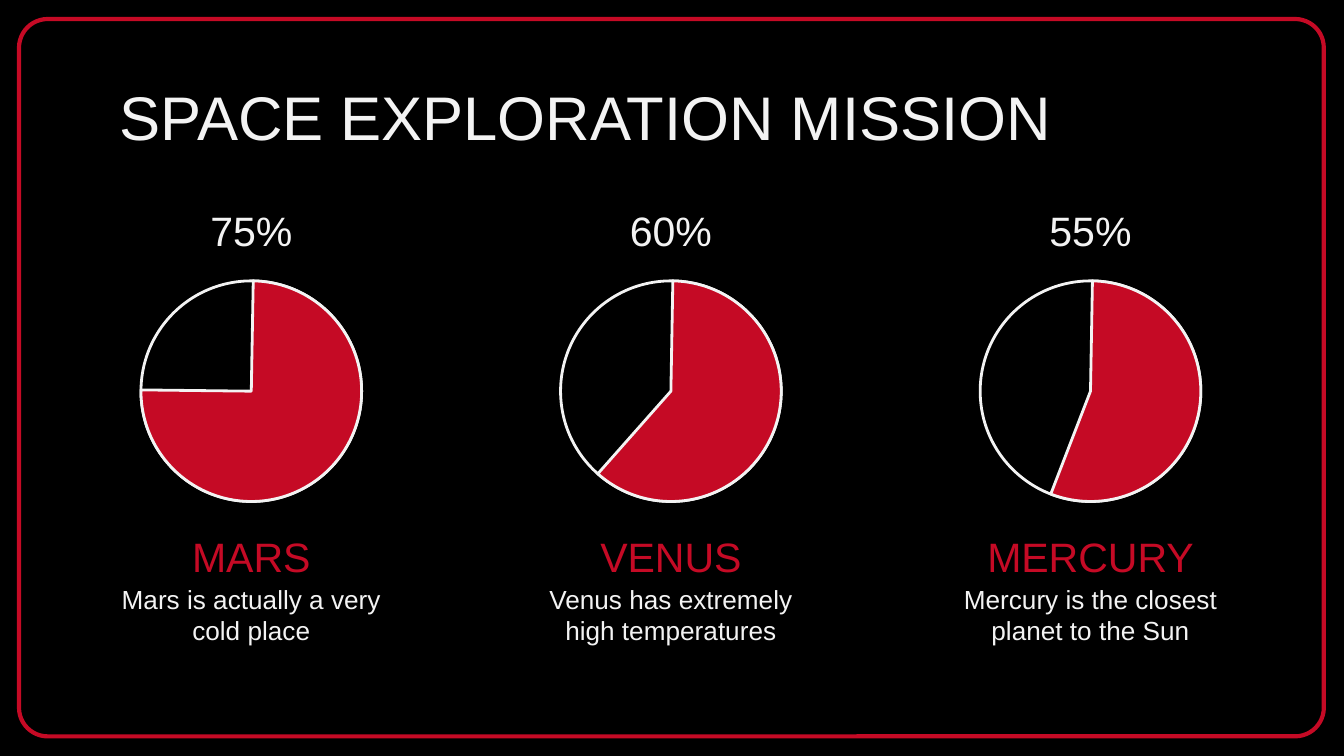
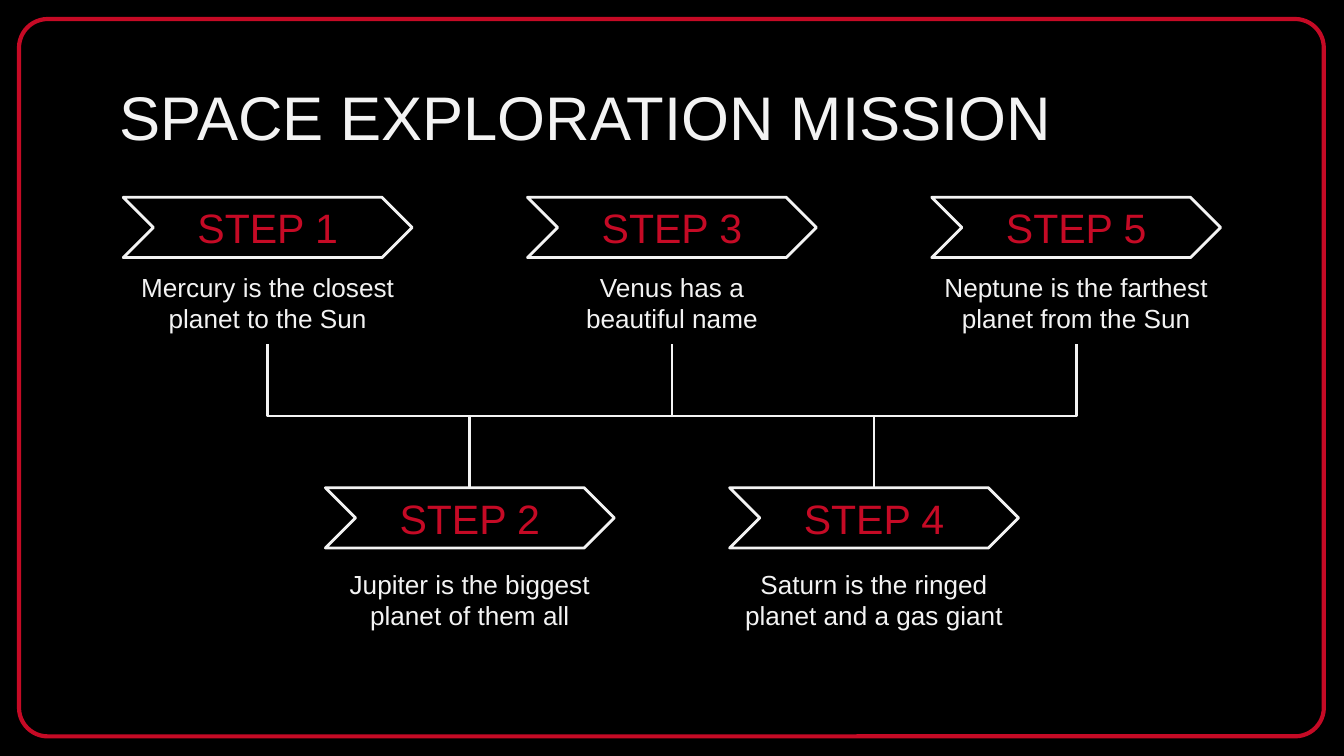
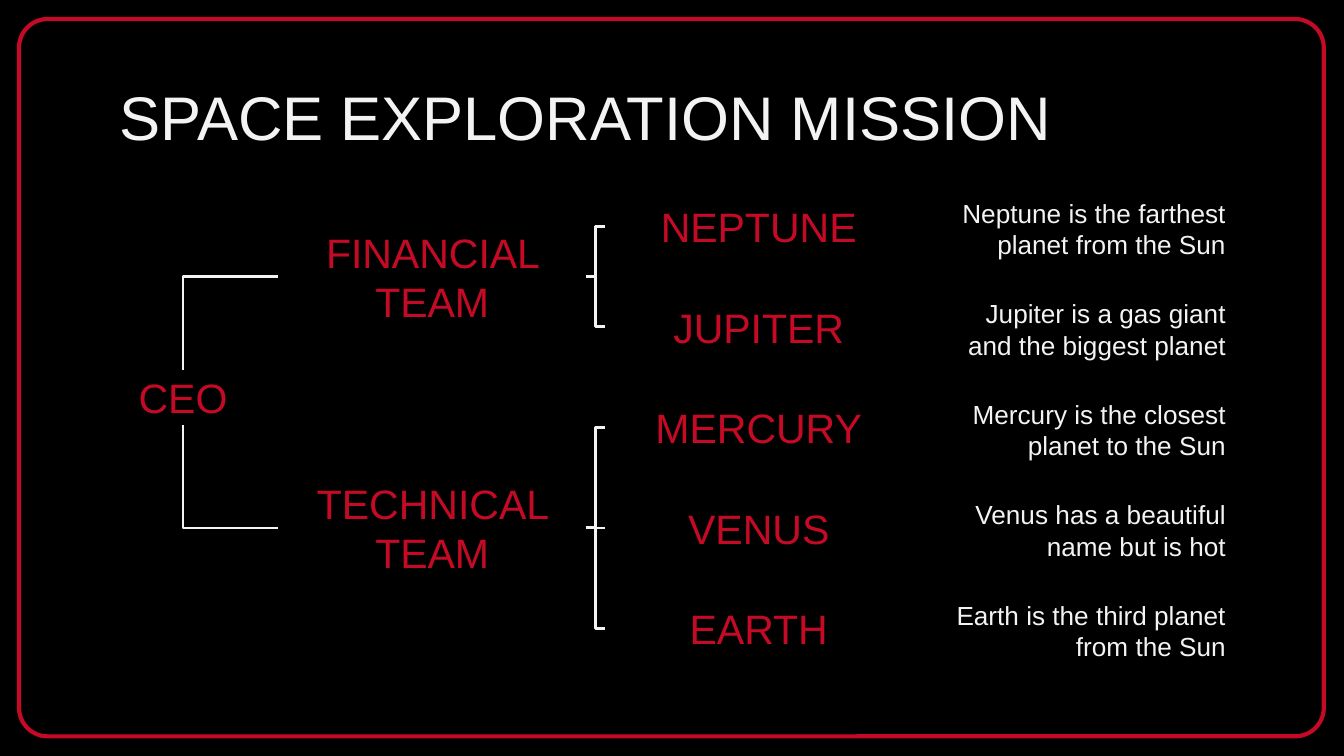
from dataclasses import dataclass
from typing import NamedTuple

from lxml.etree import SubElement
from pptx import Presentation
from pptx.dml.color import RGBColor
from pptx.enum.shapes import MSO_CONNECTOR, MSO_SHAPE
from pptx.enum.text import MSO_ANCHOR, PP_ALIGN
from pptx.oxml.ns import qn
from pptx.shapes.autoshape import Shape
from pptx.shapes.connector import Connector
from pptx.slide import Slide
from pptx.util import Cm, Pt

TOP, LEFT, BOTTOM, RIGHT = range(4)


@dataclass(frozen=True)
class Theme:
    """Colours, type sizes and line widths of the presentation."""

    background: RGBColor = RGBColor(0x00, 0x00, 0x00)
    light: RGBColor = RGBColor(0xF3, 0xF3, 0xF3)
    accent: RGBColor = RGBColor(0xC5, 0x0A, 0x25)
    font: str = "Arial"
    title_size: Pt = Pt(33)
    heading_size: Pt = Pt(22)
    body_size: Pt = Pt(14)
    frame_width: Pt = Pt(2.25)
    line_width: Pt = Pt(1.5)
    inset: Cm = Cm(0.25)


class Box(NamedTuple):
    """A rectangle in centimetres."""

    left: float
    top: float
    width: float
    height: float

    def lengths(self) -> tuple[Cm, ...]:
        """Return the rectangle as slide lengths."""
        return tuple(Cm(value) for value in self)


def centred(center: float, top: float, width: float, height: float) -> Box:
    """Return a box placed symmetrically around a vertical axis."""
    return Box(center - width / 2, top, width, height)


def beside(left: float, middle: float, width: float, height: float) -> Box:
    """Return a box placed symmetrically around a horizontal axis."""
    return Box(left, middle - height / 2, width, height)


class TextStyle(NamedTuple):
    """How a piece of text looks and sits in its box."""

    size: Pt
    color: RGBColor
    alignment: PP_ALIGN = PP_ALIGN.CENTER
    anchor: MSO_ANCHOR = MSO_ANCHOR.TOP


class PlanetShare(NamedTuple):
    """A planet with its percentage and the angle where its pie ends."""

    percentage: str
    end_angle: float
    name: str
    description: str


class Step(NamedTuple):
    """One step of the mission timeline."""

    label: str
    description: str


class Team(NamedTuple):
    """A team and the planets it looks after."""

    name: str
    planets: list[Step]


THEME = Theme()
TITLE = TextStyle(THEME.title_size, THEME.light, PP_ALIGN.LEFT)
PERCENTAGE = TextStyle(THEME.heading_size, THEME.light, anchor=MSO_ANCHOR.BOTTOM)
NAME = TextStyle(THEME.heading_size, THEME.accent, anchor=MSO_ANCHOR.BOTTOM)
LABEL = TextStyle(THEME.heading_size, THEME.accent, anchor=MSO_ANCHOR.MIDDLE)
BODY = TextStyle(THEME.body_size, THEME.light)
BODY_RIGHT = TextStyle(THEME.body_size, THEME.light, PP_ALIGN.RIGHT)

MISSION_TITLE = "SPACE EXPLORATION MISSION"
PIE_START_ANGLE = 271.02

SHARES = [
    PlanetShare("75%", 180.66, "MARS", "Mars is actually a very cold place"),
    PlanetShare("60%", 131.49, "VENUS", "Venus has extremely high temperatures"),
    PlanetShare("55%", 111.12, "MERCURY", "Mercury is the closest planet to the Sun"),
]
STEPS = [
    Step("STEP 1", "Mercury is the closest planet to the Sun"),
    Step("STEP 2", "Jupiter is the biggest planet of them all"),
    Step("STEP 3", "Venus has a\nbeautiful name"),
    Step("STEP 4", "Saturn is the ringed planet and a gas giant"),
    Step("STEP 5", "Neptune is the farthest planet from the Sun"),
]
TEAMS = [
    Team("FINANCIAL TEAM", [
        Step("NEPTUNE", "Neptune is the farthest planet from the Sun"),
        Step("JUPITER", "Jupiter is a gas giant and the biggest planet"),
    ]),
    Team("TECHNICAL TEAM", [
        Step("MERCURY", "Mercury is the closest planet to the Sun"),
        Step("VENUS", "Venus has a beautiful name but is hot"),
        Step("EARTH", "Earth is the third planet from the Sun"),
    ]),
]


def write_text(shape: Shape, text: str, style: TextStyle) -> None:
    """Fill a shape with text, one paragraph per line."""
    frame = shape.text_frame
    frame.word_wrap = True
    frame.vertical_anchor = style.anchor
    frame.margin_left = frame.margin_right = THEME.inset
    frame.margin_top = frame.margin_bottom = THEME.inset
    for index, line in enumerate(text.split("\n")):
        paragraph = frame.add_paragraph() if index else frame.paragraphs[0]
        paragraph.alignment = style.alignment
        run = paragraph.add_run()
        run.text = line
        run.font.name = THEME.font
        run.font.size = style.size
        run.font.color.rgb = style.color


def add_text(slide: Slide, box: Box, text: str, style: TextStyle) -> Shape:
    """Add a text box."""
    shape = slide.shapes.add_textbox(*box.lengths())
    write_text(shape, text, style)
    return shape


def add_outline(
    slide: Slide,
    kind: MSO_SHAPE,
    box: Box,
    line: RGBColor | None = THEME.light,
    width: Pt = THEME.line_width,
    fill: RGBColor | None = None,
) -> Shape:
    """Add a preset shape with an optional outline and fill."""
    shape = slide.shapes.add_shape(kind, *box.lengths())
    shape.shadow.inherit = False
    if fill is None:
        shape.fill.background()
    else:
        shape.fill.solid()
        shape.fill.fore_color.rgb = fill
    if line is None:
        shape.line.fill.background()
    else:
        shape.line.color.rgb = line
        shape.line.width = width
    return shape


def add_label(slide: Slide, box: Box, text: str) -> Shape:
    """Add a borderless block holding a heading."""
    shape = add_outline(slide, MSO_SHAPE.ROUNDED_RECTANGLE, box, line=None)
    shape.adjustments[0] = 0
    write_text(shape, text, LABEL)
    return shape


def join(
    slide: Slide, start: Shape, start_side: int, end: Shape, end_side: int,
    kind: MSO_CONNECTOR = MSO_CONNECTOR.ELBOW,
) -> Connector:
    """Join the sides of two shapes with a connector."""
    connector = slide.shapes.add_connector(kind, 0, 0, 0, 0)
    connector.begin_connect(start, start_side)
    connector.end_connect(end, end_side)
    connector.line.color.rgb = THEME.light
    connector.line.width = THEME.line_width
    SubElement(connector.element.spPr, qn("a:effectLst"))
    return connector


def turn_upright(connector: Connector, preset: str = "bentConnector3") -> None:
    """Make a rightward elbow leave its start vertically."""
    start_x, start_y = connector.begin_x, connector.begin_y
    end_x, end_y = connector.end_x, connector.end_y
    width, height = abs(end_y - start_y), abs(end_x - start_x)
    connector.left = (start_x + end_x - width) // 2
    connector.top = (start_y + end_y - height) // 2
    connector.width, connector.height = width, height
    properties = connector.element.spPr
    transform = properties.find(qn("a:xfrm"))
    transform.set("rot", str(270 * 60000))
    transform.set("flipH", "1" if end_y > start_y else "0")
    transform.set("flipV", "0")
    properties.find(qn("a:prstGeom")).set("prst", preset)


def add_mission_slide(presentation: Presentation) -> Slide:
    """Add a slide with the rounded frame and the title."""
    slide = presentation.slides.add_slide(presentation.slide_layouts[6])
    frame = add_outline(
        slide, MSO_SHAPE.ROUNDED_RECTANGLE, Box(0.36, 0.36, 24.66, 13.56),
        THEME.accent, THEME.frame_width,
    )
    frame.adjustments[0] = 0.04
    add_text(slide, Box(2.01, 1.24, 21.41, 1.6), MISSION_TITLE, TITLE)
    return slide


def build_shares(presentation: Presentation) -> None:
    """Build the slide with one pie per planet."""
    slide = add_mission_slide(presentation)
    for index, share in enumerate(SHARES):
        center = 4.75 + 7.93 * index
        add_text(slide, centred(center, 3.84, 5.51, 1.22), share.percentage, PERCENTAGE)
        pie_box = centred(center, 5.31, 4.17, 4.17)
        add_outline(slide, MSO_SHAPE.OVAL, pie_box)
        pie = add_outline(slide, MSO_SHAPE.PIE, pie_box, fill=THEME.accent)
        for position, angle in enumerate((PIE_START_ANGLE, share.end_angle)):
            pie.adjustments[position] = angle * 0.6
        add_text(slide, centred(center, 10.01, 5.51, 1.22), share.name, NAME)
        add_text(slide, centred(center, 10.77, 5.51, 1.35), share.description, BODY)


def build_timeline(presentation: Presentation) -> None:
    """Build the slide with steps that alternate between two rows."""
    slide = add_mission_slide(presentation)
    labels, descriptions = [], []
    for index, step in enumerate(STEPS):
        center = 12.7 + 3.82 * (index - 2)
        top, description_top = (9.22, 10.49) if index % 2 else (3.73, 4.88)
        add_outline(slide, MSO_SHAPE.CHEVRON, centred(center, top, 5.46, 1.14))
        labels.append(add_label(slide, centred(center, top, 4.01, 1.14), step.label))
        description_box = centred(center, description_top, 6.1, 1.63)
        descriptions.append(add_text(slide, description_box, step.description, BODY))
    for lower in range(1, len(STEPS), 2):
        before, label, after = descriptions[lower - 1], labels[lower], descriptions[lower + 1]
        turn_upright(join(slide, before, BOTTOM, label, TOP))
        turn_upright(join(slide, label, TOP, after, BOTTOM))


def build_organization(presentation: Presentation) -> None:
    """Build the slide with the tree of teams and planets."""
    slide = add_mission_slide(presentation)
    ceo = add_label(slide, Box(2.01, 6.99, 2.9, 1.04), "CEO")
    first_row = 0
    for team, ceo_side in zip(TEAMS, (TOP, BOTTOM)):
        middles = [4.28 + 1.9 * (first_row + row) for row in range(len(team.planets))]
        first_row += len(team.planets)
        team_middle = sum(middles) / len(middles)
        team_label = add_label(slide, beside(5.26, team_middle, 5.82, 1.78), team.name)
        turn_upright(join(slide, ceo, ceo_side, team_label, LEFT), "bentConnector2")
        for middle, planet in zip(middles, team.planets):
            planet_label = add_label(slide, beside(11.43, middle, 5.82, 1.04), planet.label)
            add_text(slide, beside(17.6, middle, 5.82, 1.6), planet.description, BODY_RIGHT)
            level = abs(middle - team_middle) < 0.01
            kind = MSO_CONNECTOR.STRAIGHT if level else MSO_CONNECTOR.ELBOW
            join(slide, team_label, RIGHT, planet_label, LEFT, kind)


def main() -> None:
    """Build and save the presentation."""
    presentation = Presentation()
    presentation.slide_width = Cm(25.4)
    presentation.slide_height = Cm(14.29)
    background = presentation.slide_master.background.fill
    background.solid()
    background.fore_color.rgb = THEME.background
    build_shares(presentation)
    build_timeline(presentation)
    build_organization(presentation)
    presentation.save("out.pptx")


if __name__ == "__main__":
    main()
